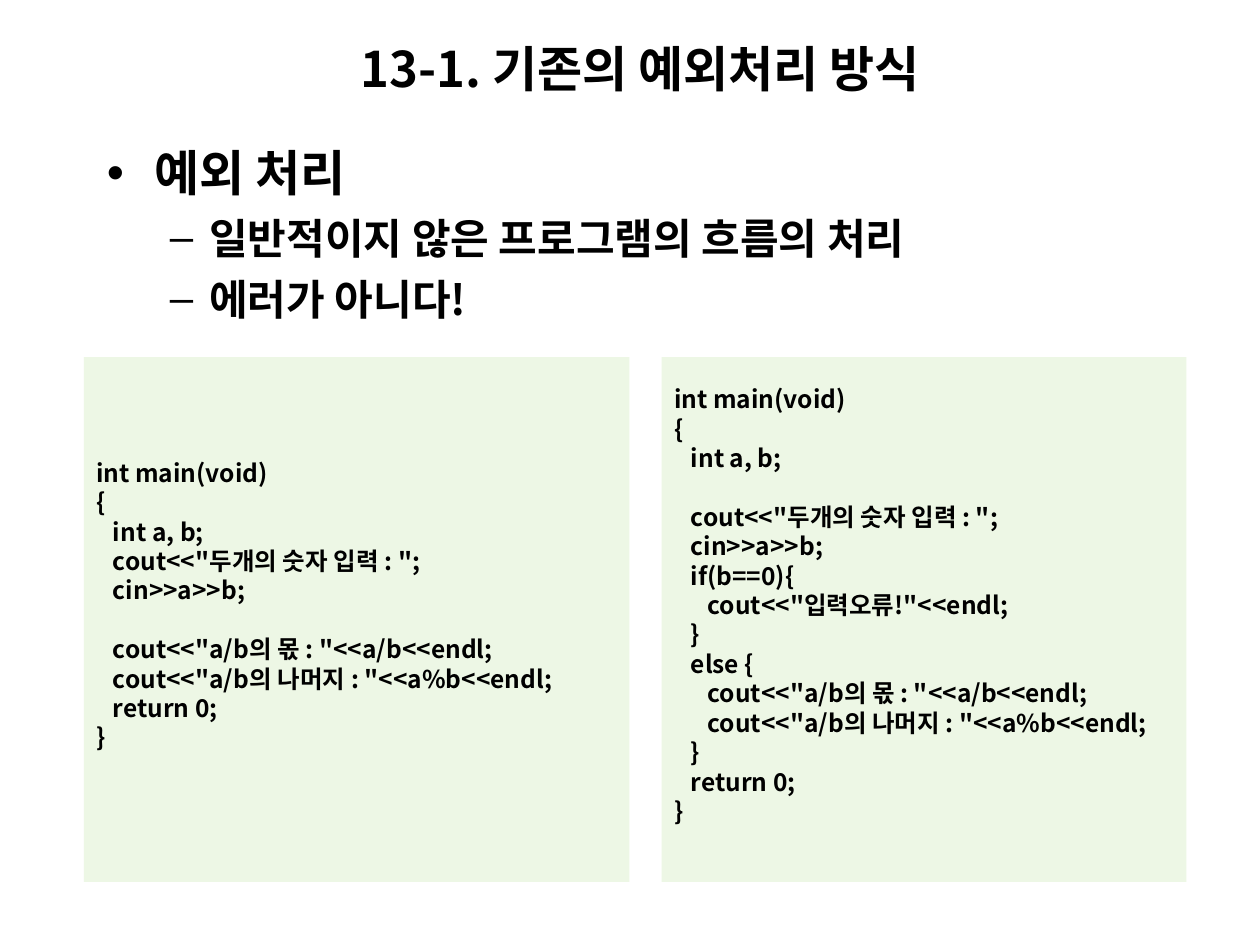
import pptx
import pptx.dml.color
import pptx.enum.shapes
import pptx.enum.text
import pptx.oxml
import pptx.oxml.ns
import pptx.util
from pptx.util import Cm, Pt

FONT = "Noto Sans CJK KR"
BLACK = pptx.dml.color.RGBColor(0x00, 0x00, 0x00)
PALE_GREEN = pptx.dml.color.RGBColor(0xED, 0xF7, 0xE5)

DIVIDE_CODE = """\
int main(void)
{
   int a, b;
   cout<<"두개의 숫자 입력 : ";
   cin>>a>>b;

   cout<<"a/b의 몫 : "<<a/b<<endl;
   cout<<"a/b의 나머지 : "<<a%b<<endl;
   return 0;
}"""

CHECKED_CODE = """\
int main(void)
{
   int a, b;

   cout<<"두개의 숫자 입력 : ";
   cin>>a>>b;
   if(b==0){
      cout<<"입력오류!"<<endl;
   }
   else {
      cout<<"a/b의 몫 : "<<a/b<<endl;
      cout<<"a/b의 나머지 : "<<a%b<<endl;
   }
   return 0;
}"""


class LectureSlide:
    """Holds the text style and the slide being filled."""

    def __init__(self, deck):
        self.slide = deck.slides.add_slide(deck.slide_layouts[1])

    def add_text(self, paragraph, text, size):
        run = paragraph.add_run()
        run.text = text
        run.font.name = FONT
        run.font.size = Pt(size)
        run.font.bold = True
        run.font.color.rgb = BLACK
        # Hangul takes its typeface from a:ea
        east_asian = pptx.oxml.parse_xml(
            f'<a:ea {pptx.oxml.ns.nsdecls("a")} typeface="{FONT}"/>')
        run.font._element.find(pptx.oxml.ns.qn("a:latin")).addnext(east_asian)

    def place(self, placeholder, left, top, width, height):
        placeholder.left, placeholder.top = left, top
        placeholder.width, placeholder.height = width, height
        return placeholder.text_frame

    def title(self, text, *box):
        frame = self.place(self.slide.shapes.title, *box)
        frame.vertical_anchor = pptx.enum.text.MSO_ANCHOR.MIDDLE
        heading = frame.paragraphs[0]
        heading.alignment = pptx.enum.text.PP_ALIGN.CENTER
        self.add_text(heading, text, 28)

    def bullets(self, items, *box):
        frame = self.place(self.slide.placeholders[1], *box)
        for index, (level, text) in enumerate(items):
            item = frame.add_paragraph() if index else frame.paragraphs[0]
            item.level = level
            item.space_before = Pt(6 if index else 0)
            self.add_text(item, text, 24 if level else 28)

    def code(self, listing, *box):
        panel = self.slide.shapes.add_shape(
            pptx.enum.shapes.MSO_SHAPE.RECTANGLE, *box)
        panel.shadow.inherit = False
        panel.fill.solid()
        panel.fill.fore_color.rgb = PALE_GREEN
        panel.line.fill.background()
        frame = panel.text_frame
        frame.word_wrap = True
        frame.vertical_anchor = pptx.enum.text.MSO_ANCHOR.MIDDLE
        frame.margin_bottom = Cm(0.72)  # lifts the code by half a line
        for index, text in enumerate(listing.split("\n")):
            line = frame.add_paragraph() if index else frame.paragraphs[0]
            line.alignment = pptx.enum.text.PP_ALIGN.LEFT
            self.add_text(line, text or " ", 14)


def main():
    deck = pptx.Presentation()
    deck.slide_width, deck.slide_height = Cm(25.4), Cm(19.05)
    lecture = LectureSlide(deck)

    # Heading and key points
    lecture.title("13-1. 기존의 예외처리 방식",
                  Cm(2.11), Cm(0.64), Cm(21.59), Cm(1.47))
    lecture.bullets([(0, "예외 처리"),
                     (1, "일반적이지 않은 프로그램의 흐름의 처리"),
                     (1, "에러가 아니다!")],
                    Cm(1.9), Cm(2.75), Cm(21.59), Cm(14.17))

    # Code without and with the zero check
    top, height = Cm(7.2), Cm(10.58)
    lecture.code(DIVIDE_CODE, Cm(1.69), top, Cm(11), height)
    lecture.code(CHECKED_CODE, Cm(13.34), top, Cm(10.58), height)

    deck.save("out.pptx")


if __name__ == "__main__":
    main()
